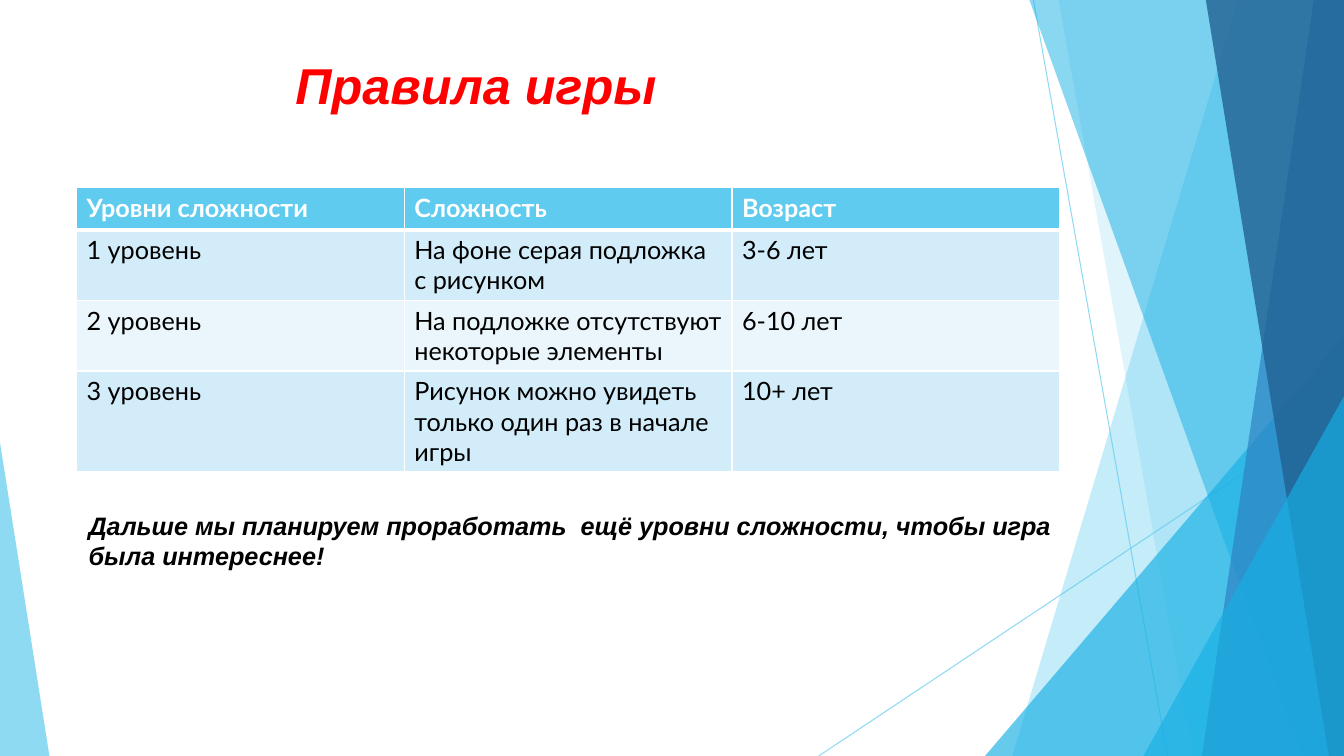
from dataclasses import dataclass

from lxml import etree
from pptx import Presentation
from pptx import util as u
from pptx.dml.color import RGBColor
from pptx.enum import shapes, text
from pptx.oxml.ns import qn


@dataclass(frozen=True)
class Theme:
    """Colours, fonts and type sizes of the slide."""

    sky: str = "5FCBEF"
    cyan: str = "17B0E4"
    blue: str = "2E83C3"
    navy: str = "226292"
    band_dark: str = "D2ECF9"
    band_light: str = "EAF6FC"
    white: str = "FFFFFF"
    black: str = "000000"
    red: str = "FF0000"
    heading_font: str = "Arial"
    table_font: str = "Lato"
    title_size: int = 36
    text_size: int = 18


THEME = Theme()
WIDTH, HEIGHT = 13.33, 7.5
LEFT, CONTENT_WIDTH = 0.76, 9.75
ROW_HEIGHTS = (0.42, 0.7, 0.7, 1.0)
RULES = (
    ("Уровни сложности", "Сложность", "Возраст"),
    ("1 уровень", "На фоне серая подложка с рисунком", "3-6 лет"),
    ("2 уровень", "На подложке отсутствуют некоторые элементы", "6-10 лет"),
    ("3 уровень", "Рисунок можно увидеть только один раз в начале игры", "10+ лет"),
)


def inches(*values):
    """Convert several numbers to lengths."""
    return [u.Inches(value) for value in values]


def set_alpha(shape, percent):
    """Make the solid colour of a shape or connector translucent."""
    color = next(shape.element.spPr.iter(qn("a:srgbClr")))
    etree.SubElement(color, qn("a:alpha"), val=str(percent * 1000))


def paint(shape, color, opacity):
    """Give a shape a translucent fill without outline or shadow."""
    shape.shadow.inherit = False
    shape.fill.solid()
    shape.fill.fore_color.rgb = RGBColor.from_string(color)
    shape.line.fill.background()
    set_alpha(shape, opacity)


def add_ray(slide, start, end):
    """Draw a thin translucent line."""
    ray = slide.shapes.add_connector(
        shapes.MSO_CONNECTOR.STRAIGHT, *inches(*start, *end)
    )
    ray.line.width = u.Pt(0.75)
    ray.line.color.rgb = RGBColor.from_string(THEME.sky)
    set_alpha(ray, 70)
    etree.SubElement(ray.element.spPr, qn("a:effectLst"))


def add_facet(slide, top_x, bottom_x, color, opacity):
    """Draw a full-height facet from a slanted edge to the right side."""
    builder = slide.shapes.build_freeform(*inches(top_x, 0))
    corners = ((WIDTH, 0), (WIDTH, HEIGHT), (bottom_x, HEIGHT))
    builder.add_line_segments([inches(*corner) for corner in corners])
    paint(builder.convert_to_shape(), color, opacity)


def add_corner(slide, left, top, width, apex, color, opacity):
    """Draw a triangle that stands on the bottom edge."""
    corner = slide.shapes.add_shape(
        shapes.MSO_SHAPE.ISOSCELES_TRIANGLE,
        *inches(left, top, width, HEIGHT - top),
    )
    corner.adjustments[0] = apex
    paint(corner, color, opacity)


def add_decoration(slide):
    """Draw the rays and translucent facets from back to front."""
    add_ray(slide, (10.25, 0), (11.58, HEIGHT))
    add_ray(slide, (WIDTH, 4.03), (8.12, HEIGHT))
    add_facet(slide, 12.28, 10.04, THEME.sky, 36)
    add_facet(slide, 10.5, 11.83, THEME.sky, 20)
    add_corner(slide, 9.77, 3.33, 3.56, 1, THEME.cyan, 66)
    add_facet(slide, 10.21, 12.91, THEME.cyan, 50)
    add_facet(slide, 13.03, 11.92, THEME.blue, 70)
    add_facet(slide, 11.96, 13.18, THEME.navy, 80)
    add_corner(slide, 11.34, 3.93, 1.99, 1, THEME.cyan, 66)
    add_corner(slide, 0, 4.39, 0.49, 0, THEME.sky, 70)


def write(frame, content, font, size, color, bold=False, italic=False):
    """Set left-aligned text and format its runs."""
    frame.text = content
    frame.word_wrap = True
    for paragraph in frame.paragraphs:
        paragraph.alignment = text.PP_ALIGN.LEFT
        for run in paragraph.runs:
            run.font.name = font
            run.font.size = u.Pt(size)
            run.font.color.rgb = RGBColor.from_string(color)
            run.font.bold = bold
            run.font.italic = italic


def set_title(slide, content):
    """Place the title in front of the decoration and format it."""
    title = slide.shapes.title
    title.left, title.top, title.width, title.height = inches(
        2.83, 0.57, CONTENT_WIDTH, 0.62
    )
    write(title.text_frame, content, THEME.heading_font, THEME.title_size,
          THEME.red, bold=True, italic=True)
    title.text_frame.auto_size = text.MSO_AUTO_SIZE.NONE
    title.text_frame.vertical_anchor = text.MSO_ANCHOR.BOTTOM
    slide.shapes.element.append(title.element)


def set_borders(cell, bottom, top):
    """Draw white borders around a cell, ahead of its fill."""
    properties = cell._tc.get_or_add_tcPr()
    widths = {"a:lnL": 1, "a:lnR": 1, "a:lnT": top, "a:lnB": bottom}
    for index, (side, width) in enumerate(widths.items()):
        border = etree.Element(qn(side), w=str(u.Pt(width)))
        fill = etree.SubElement(border, qn("a:solidFill"))
        etree.SubElement(fill, qn("a:srgbClr"), val=THEME.white)
        properties.insert(index, border)


def add_rules_table(slide):
    """Add the banded table of difficulty levels."""
    table = slide.shapes.add_table(
        len(RULES), len(RULES[0]),
        *inches(LEFT, 1.86, CONTENT_WIDTH, sum(ROW_HEIGHTS)),
    ).table
    for row_index, (height, values) in enumerate(zip(ROW_HEIGHTS, RULES)):
        table.rows[row_index].height = u.Inches(height)
        header = row_index == 0
        band = THEME.band_dark if row_index % 2 else THEME.band_light
        for column_index, value in enumerate(values):
            cell = table.cell(row_index, column_index)
            cell.fill.solid()
            cell.fill.fore_color.rgb = RGBColor.from_string(
                THEME.sky if header else band
            )
            set_borders(cell, bottom=3 if header else 1,
                        top=3 if row_index == 1 else 1)
            write(cell.text_frame, value, THEME.table_font, THEME.text_size,
                  THEME.white if header else THEME.black, bold=header)


def add_plan(slide, content):
    """Add the closing remark below the table."""
    box = slide.shapes.add_textbox(*inches(0.78, 5.01, CONTENT_WIDTH, 1.02))
    write(box.text_frame, content, THEME.heading_font, THEME.text_size,
          THEME.black, bold=True, italic=True)


def main():
    """Build and save the slide."""
    presentation = Presentation()
    presentation.slide_width, presentation.slide_height = inches(WIDTH, HEIGHT)
    slide = presentation.slides.add_slide(presentation.slide_layouts[5])
    add_decoration(slide)
    set_title(slide, "Правила игры")
    add_rules_table(slide)
    add_plan(slide, "Дальше мы планируем проработать  ещё уровни сложности, "
                    "чтобы игра была интереснее!")
    presentation.save("out.pptx")


main()
